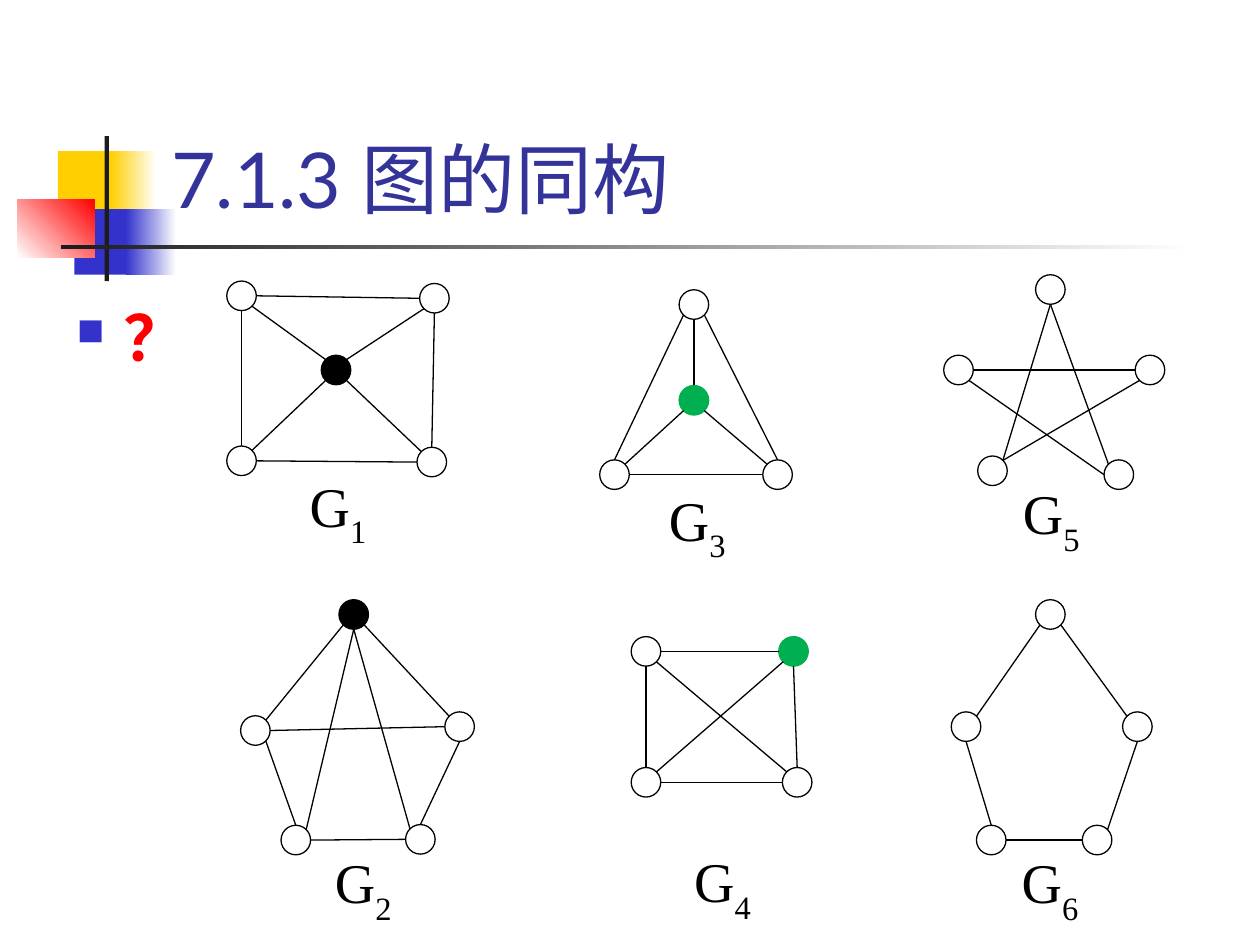
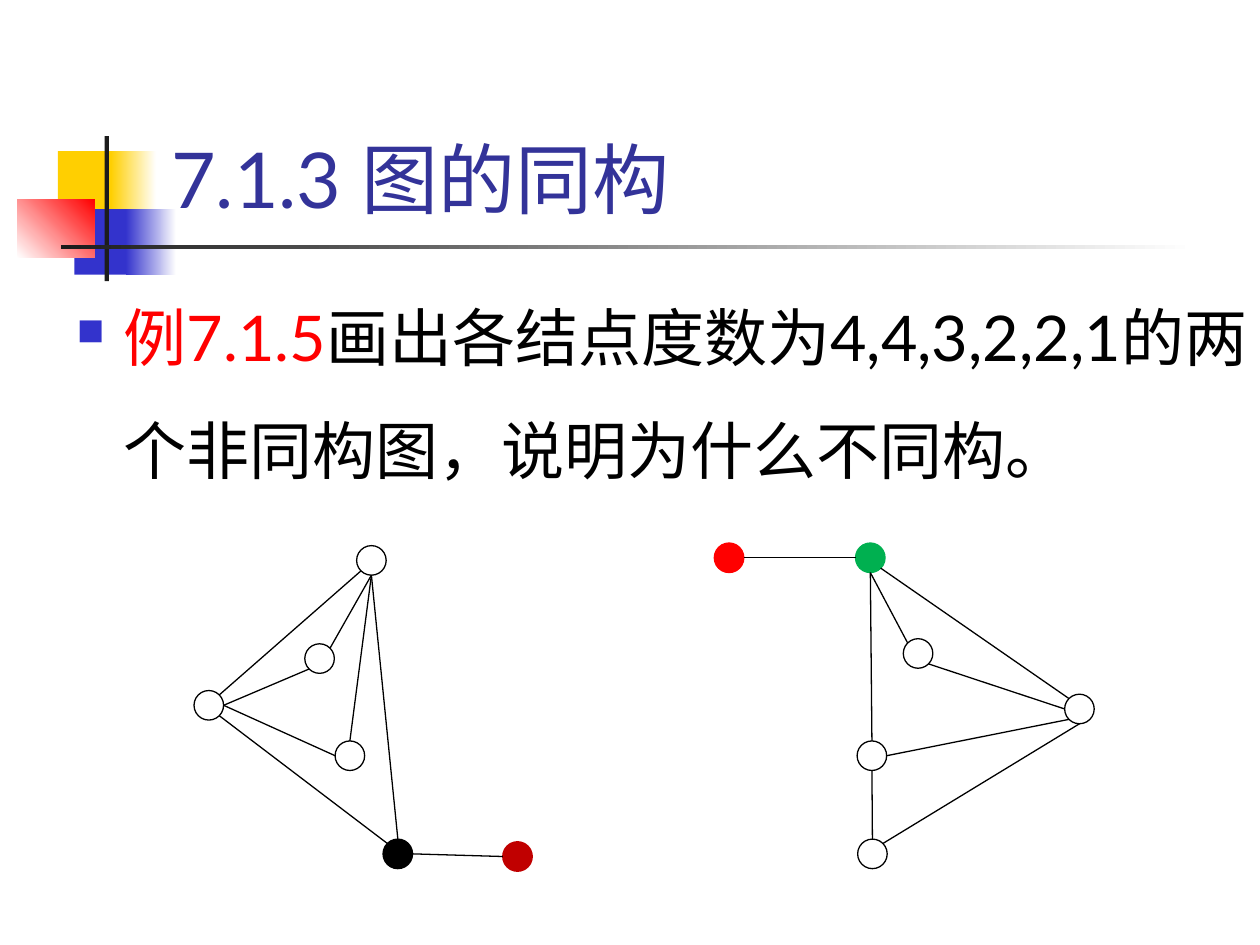
from dataclasses import dataclass

import pptx
import pptx.dml.color
import pptx.enum.shapes
import pptx.enum.text
import pptx.oxml.ns
import pptx.util
from lxml import etree

Pt = pptx.util.Pt
SHAPE = pptx.enum.shapes.MSO_SHAPE

INK = {
    "white": "FFFFFF", "black": "000000", "green": "00B050", "red": "FF0000",
    "dark": "C00000", "gold": "FFCF01", "blue": "3333CC", "coal": "1C1C1C",
    "title": "333399",
}
SANS, SERIF = "Lato", "Times New Roman"
DOT = 16.9  # node diameter

# Where an edge meets a node, as fractions of its diameter
SITES = {
    "n": (0.5, 0), "ne": (0.85, 0.15), "e": (1, 0.5), "se": (0.85, 0.85),
    "s": (0.5, 1), "sw": (0.15, 0.85), "w": (0, 0.5), "nw": (0.15, 0.15),
}


@dataclass
class Band:
    left: float
    top: float
    width: float
    height: float
    inks: tuple[str, ...]  # two inks make a gradient
    angle: float = 0


@dataclass
class Node:
    left: float
    top: float
    ink: str = "white"


@dataclass
class Graph:
    nodes: dict[str, Node]
    edges: str  # "a.e-b.w" runs from the east of a to the west of b
    label: str = ""
    spot: tuple[float, float] = (0, 0)


BANDS = [
    Band(33.1, 86.4, 34.6, 37.4, ("gold",)),
    Band(63.4, 86.4, 25.9, 37.4, ("gold", "white")),
    Band(42.5, 119.5, 33.1, 37.4, ("blue",)),
    Band(72, 119.5, 28.8, 37.4, ("blue", "white")),
    Band(9.9, 113.8, 44.1, 33.4, ("white", "red"), 45),
    Band(59.8, 77.8, 2.4, 82.8, ("coal",)),
    Band(34.8, 140, 648, 2.5, ("coal", "white")),
]

SIX = [
    Graph({"a": Node(129.6, 160.6), "b": Node(239.8, 162),
           "c": Node(183.6, 203, "black"),
           "d": Node(129.6, 254.9), "e": Node(238.3, 255.6)},
          "a.e-b.w a.s-d.n d.e-e.w b.s-e.n b.sw-c.ne a.se-c.nw c.se-e.nw c.sw-d.ne",
          "1", (169.9, 265.7)),
    Graph({"a": Node(193.7, 342.7, "black"),
           "b": Node(137.5, 409), "c": Node(254.2, 406.8),
           "d": Node(160.6, 471.6), "e": Node(231.8, 471.2)},
          "a.sw-b.ne a.se-c.nw b.se-d.n c.s-e.n d.e-e.w b.e-c.w a.s-d.ne a.s-e.nw",
          "2", (184.3, 481)),
    Graph({"a": Node(388.1, 165.6), "b": Node(388.1, 220.3, "green"),
           "c": Node(342.7, 262.8), "d": Node(435.9, 262.8)},
          "a.sw-c.n a.se-d.n a.s-b.n c.e-d.w b.se-d.nw b.sw-c.ne",
          "3", (375.1, 273.6)),
    Graph({"a": Node(360.7, 363.8), "b": Node(445, 363.8, "green"),
           "c": Node(360.7, 438.6), "d": Node(447.1, 438.6)},
          "a.e-b.w a.s-c.n c.e-d.w b.s-d.n a.se-d.nw b.sw-c.ne",
          "4", (389.5, 480.2)),
    Graph({"a": Node(591.8, 157), "b": Node(539.3, 203), "c": Node(648.7, 203),
           "d": Node(558.7, 260.6), "e": Node(630.9, 262.8)},
          "b.e-c.w c.sw-d.ne d.ne-a.s a.s-e.nw b.se-e.w",
          "5", (577.4, 270)),
    Graph({"a": Node(591.8, 342.7), "b": Node(543.6, 406.8), "c": Node(641.5, 406.8),
           "d": Node(558, 471.6), "e": Node(618.5, 471.6)},
          "a.sw-b.ne a.se-c.nw c.s-e.ne b.s-d.n d.e-e.w",
          "6", (576.7, 481)),
]

PAIR = [
    Graph({"a": Node(203.8, 311.8), "b": Node(174.2, 367.9), "c": Node(110.9, 394.6),
           "d": Node(191.5, 423.4), "e": Node(218.9, 479.5, "black"),
           "f": Node(287.3, 481, "dark")},
          "c.ne-a.sw c.e-d.w c.se-e.nw a.s-d.n a.s-e.n a.s-b.ne b.sw-c.e e.e-f.w"),
    Graph({"a": Node(408.2, 310.3, "red"), "b": Node(488.9, 310.3, "green"),
           "c": Node(516.2, 365), "d": Node(608.4, 396.7),
           "e": Node(489.8, 423.4), "f": Node(490.1, 479.5)},
          "b.se-d.nw e.s-f.n b.s-c.nw b.s-e.n c.se-d.w e.e-d.sw d.s-f.ne a.e-b.w"),
]


def tint(name: str) -> pptx.dml.color.RGBColor:
    return pptx.dml.color.RGBColor.from_string(INK[name])


def write(par, words: str, *, size: float, ink: str = "black", font: str = SANS,
          bold: bool = False, base: int = 0) -> None:
    run = par.add_run()
    run.text = words
    run.font.size, run.font.name, run.font.bold = Pt(size), font, bold
    run.font.color.rgb = tint(ink)
    if base:
        run._r.get_or_add_rPr().set("baseline", str(base * 1000))


def draw(slide, kind, left: float, top: float, width: float, height: float,
         inks: tuple[str, ...], line: str = "", angle: float = 0):
    shape = slide.shapes.add_shape(kind, Pt(left), Pt(top), Pt(width), Pt(height))
    shape.shadow.inherit = False
    if len(inks) == 1:
        shape.fill.solid()
        shape.fill.fore_color.rgb = tint(inks[0])
    else:
        shape.fill.gradient()
        shape.fill.gradient_angle = angle
        for stop, ink in zip(shape.fill.gradient_stops, inks):
            stop.color.rgb = tint(ink)
    if line:
        shape.line.color.rgb = tint(line)
        shape.line.width = Pt(0.75)
    else:
        shape.line.fill.background()
    return shape


def join(slide, start: tuple[float, float], end: tuple[float, float]) -> None:
    line = slide.shapes.add_connector(
        pptx.enum.shapes.MSO_CONNECTOR.STRAIGHT, *map(Pt, start + end))
    line.line.color.rgb = tint("black")
    line.line.width = Pt(0.75)
    etree.SubElement(line._element.spPr, pptx.oxml.ns.qn("a:effectLst"))


def site(graph: Graph, code: str) -> tuple[float, float]:
    name, side = code.split(".")
    node, (across, down) = graph.nodes[name], SITES[side]
    return node.left + DOT * across, node.top + DOT * down


def plot(slide, graph: Graph) -> None:
    if graph.label:
        box = draw(slide, SHAPE.RECTANGLE, *graph.spot, 56.9, 49.7, ("white",), "white")
        box.text_frame.vertical_anchor = pptx.enum.text.MSO_ANCHOR.TOP
        par = box.text_frame.paragraphs[0]
        par.alignment = pptx.enum.text.PP_ALIGN.LEFT
        write(par, "G", size=32, font=SERIF)
        write(par, graph.label, size=32, font=SERIF, base=-30)
    for node in graph.nodes.values():
        rim = "black" if node.ink == "white" else node.ink
        draw(slide, SHAPE.OVAL, node.left, node.top, DOT, DOT, (node.ink,), rim)
    for edge in graph.edges.split():
        start, end = edge.split("-")
        join(slide, site(graph, start), site(graph, end))


def body(slide):
    box = slide.shapes.add_textbox(Pt(36.7), Pt(145.4), Pt(683.3), Pt(394.6))
    box.text_frame.word_wrap = True
    par = box.text_frame.paragraphs[0]
    par.line_spacing = 1.5
    # Square bullet with a hanging indent
    props = par._p.get_or_add_pPr()
    props.set("marL", str(Pt(27)))
    props.set("indent", str(Pt(-27)))
    qn = pptx.oxml.ns.qn
    hue = etree.SubElement(props, qn("a:buClr"))
    etree.SubElement(hue, qn("a:srgbClr"), val=INK["blue"])
    etree.SubElement(props, qn("a:buSzPct"), val="60000")
    etree.SubElement(props, qn("a:buChar"), char="■")
    return par


def start(deck):
    slide = deck.slides.add_slide(deck.slide_layouts[5])
    for band in BANDS:
        draw(slide, SHAPE.RECTANGLE, band.left, band.top, band.width, band.height,
             band.inks, angle=band.angle)
    # Title, in front of the bands
    title = slide.shapes.title
    title.left, title.top, title.width, title.height = map(Pt, (90.7, 16.6, 613.4, 115.2))
    frame = title.text_frame
    frame.auto_size = pptx.enum.text.MSO_AUTO_SIZE.NONE
    frame.vertical_anchor = pptx.enum.text.MSO_ANCHOR.BOTTOM
    frame.paragraphs[0].alignment = pptx.enum.text.PP_ALIGN.LEFT
    write(frame.paragraphs[0], "7.1.3 图的同构", size=44, ink="title")
    slide.shapes._spTree.append(title._element)
    return slide


def main() -> None:
    deck = pptx.Presentation()
    deck.slide_width, deck.slide_height = Pt(720), Pt(540)

    # Three pairs of graphs
    slide = start(deck)
    write(body(slide), "？", size=36, ink="red", bold=True)
    for graph in SIX:
        plot(slide, graph)

    # Worked example
    slide = start(deck)
    par = body(slide)
    write(par, "例7.1.5", size=36, ink="red")
    write(par, "画出各结点度数为4,4,3,2,2,1的两个非同构图，说明为什么不同构。", size=36)
    for graph in PAIR:
        plot(slide, graph)

    deck.save("out.pptx")


if __name__ == "__main__":
    main()
